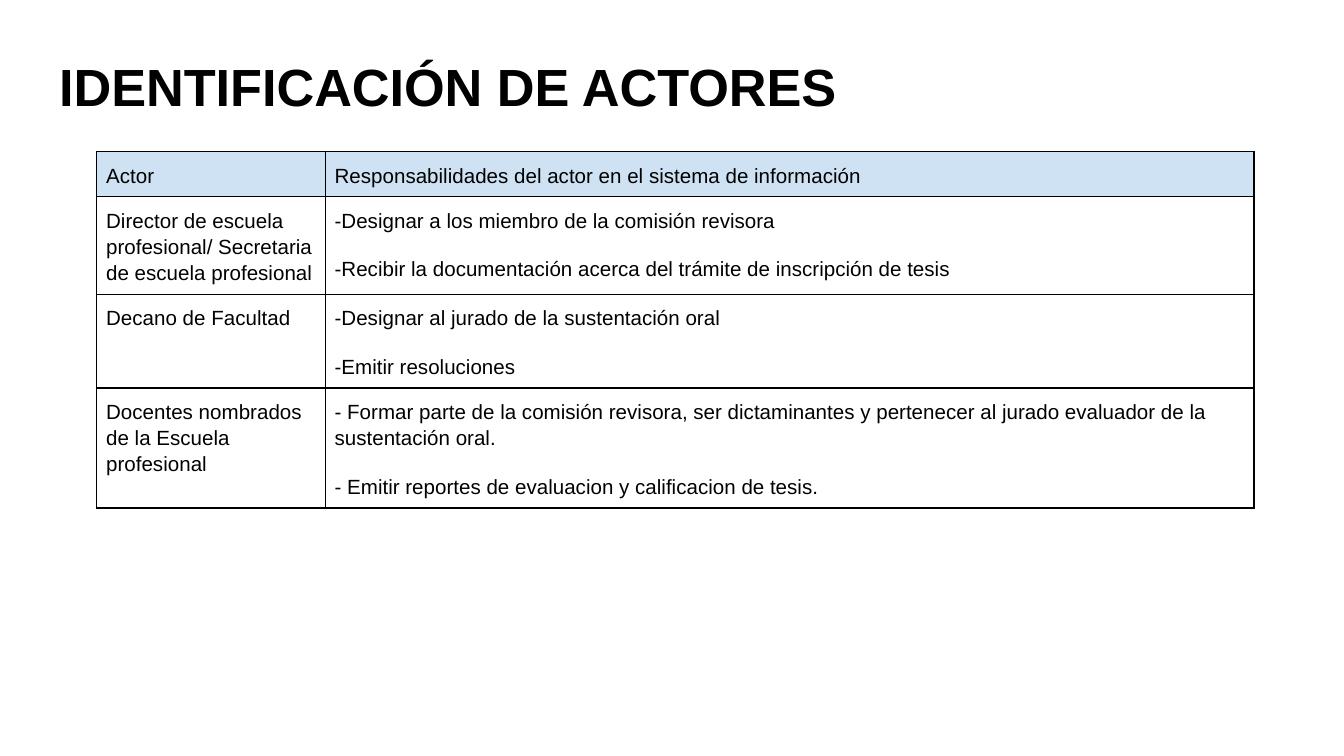
from lxml import etree
from pptx import Presentation
from pptx.dml.color import RGBColor
from pptx.enum.text import MSO_ANCHOR, PP_ALIGN
from pptx.oxml.ns import qn
from pptx.util import Inches, Pt

TOP = MSO_ANCHOR.TOP
LEFT = PP_ALIGN.LEFT
BLACK = RGBColor(0x00, 0x00, 0x00)
HEADER_BLUE = RGBColor(0xCF, 0xE2, 0xF3)
FONT = "Arial"
TITLE_ONLY_LAYOUT = 5
SLIDE_WIDTH = 10
SLIDE_HEIGHT = SLIDE_WIDTH * 9 / 16
COLUMN_WIDTHS = (1.7, 6.91)
ROW_HEIGHTS = (0.33, 0.53, 0.33, 0.7)
CELL_MARGIN = 0.07
BORDER_WIDTH = Pt(0.75)
BORDER_SIDES = ("a:lnL", "a:lnR", "a:lnT", "a:lnB")

ACTORS = [
    ("Actor", "Responsabilidades del actor en el sistema de información"),
    (
        "Director de escuela profesional/ Secretaria de escuela profesional",
        "-Designar a los miembro de la comisión revisora\n"
        "-Recibir la documentación acerca del trámite de inscripción de tesis",
    ),
    (
        "Decano de Facultad",
        "-Designar al jurado de la sustentación oral\n-Emitir resoluciones",
    ),
    (
        "Docentes nombrados de la Escuela profesional",
        "- Formar parte de la comisión revisora, ser dictaminantes y pertenecer "
        "al jurado evaluador de la sustentación oral.\n"
        "- Emitir reportes de evaluacion y calificacion de tesis.",
    ),
]


def format_font(font, size, bold=False):
    """Apply the slide's typeface and text colour."""
    font.name = FONT
    font.size = Pt(size)
    font.bold = bold
    font.color.rgb = BLACK


def add_borders(cell):
    """Draw a thin black line on every side of a cell."""
    properties = cell._tc.get_or_add_tcPr()
    for position, side in enumerate(BORDER_SIDES):
        line = etree.Element(qn(side), w=str(BORDER_WIDTH))
        fill = etree.SubElement(line, qn("a:solidFill"))
        etree.SubElement(fill, qn("a:srgbClr"), val=str(BLACK))
        properties.insert(position, line)


def format_cell(cell, text, is_header):
    """Write and style one table cell."""
    cell.text_frame.text = text
    cell.vertical_anchor = TOP
    cell.margin_left = cell.margin_right = Inches(CELL_MARGIN)
    cell.margin_top = cell.margin_bottom = Inches(CELL_MARGIN)
    for paragraph in cell.text_frame.paragraphs:
        paragraph.line_spacing = 1.15
        paragraph.space_before = Pt(12)
        for run in paragraph.runs:
            format_font(run.font, 11)
    if is_header:
        cell.fill.solid()
        cell.fill.fore_color.rgb = HEADER_BLUE
    else:
        cell.fill.background()
    add_borders(cell)


def place_title(slide, left, top, width, height):
    """Place the heading in the title placeholder."""
    title = slide.shapes.title
    title.left, title.top = Inches(left), Inches(top)
    title.width, title.height = Inches(width), Inches(height)
    text_frame = title.text_frame
    text_frame.text = "IDENTIFICACIÓN DE ACTORES"
    text_frame.word_wrap = True
    text_frame.vertical_anchor = TOP
    text_frame.margin_left = text_frame.margin_right = Inches(0.1)
    text_frame.margin_top = text_frame.margin_bottom = Inches(0.1)
    paragraph = text_frame.paragraphs[0]
    paragraph.alignment = LEFT
    format_font(paragraph.runs[0].font, 28, bold=True)


def add_actor_table(slide, left, top):
    """Add the table of actors and their responsibilities."""
    table = slide.shapes.add_table(
        len(ROW_HEIGHTS), len(COLUMN_WIDTHS), Inches(left), Inches(top),
        Inches(sum(COLUMN_WIDTHS)), Inches(sum(ROW_HEIGHTS)),
    ).table
    table.horz_banding = False
    table.first_row = False
    for column, width in zip(table.columns, COLUMN_WIDTHS):
        column.width = Inches(width)
    for row, height in zip(table.rows, ROW_HEIGHTS):
        row.height = Inches(height)
    for row_index, texts in enumerate(ACTORS):
        for column_index, text in enumerate(texts):
            format_cell(table.cell(row_index, column_index), text, row_index == 0)


def main():
    """Build and save the presentation."""
    presentation = Presentation()
    presentation.slide_width = Inches(SLIDE_WIDTH)
    presentation.slide_height = Inches(SLIDE_HEIGHT)
    slide = presentation.slides.add_slide(
        presentation.slide_layouts[TITLE_ONLY_LAYOUT]
    )
    place_title(slide, 0.34, 0.3, 9.32, 0.63)
    add_actor_table(slide, 0.72, 1.13)
    presentation.save("out.pptx")


if __name__ == "__main__":
    main()
